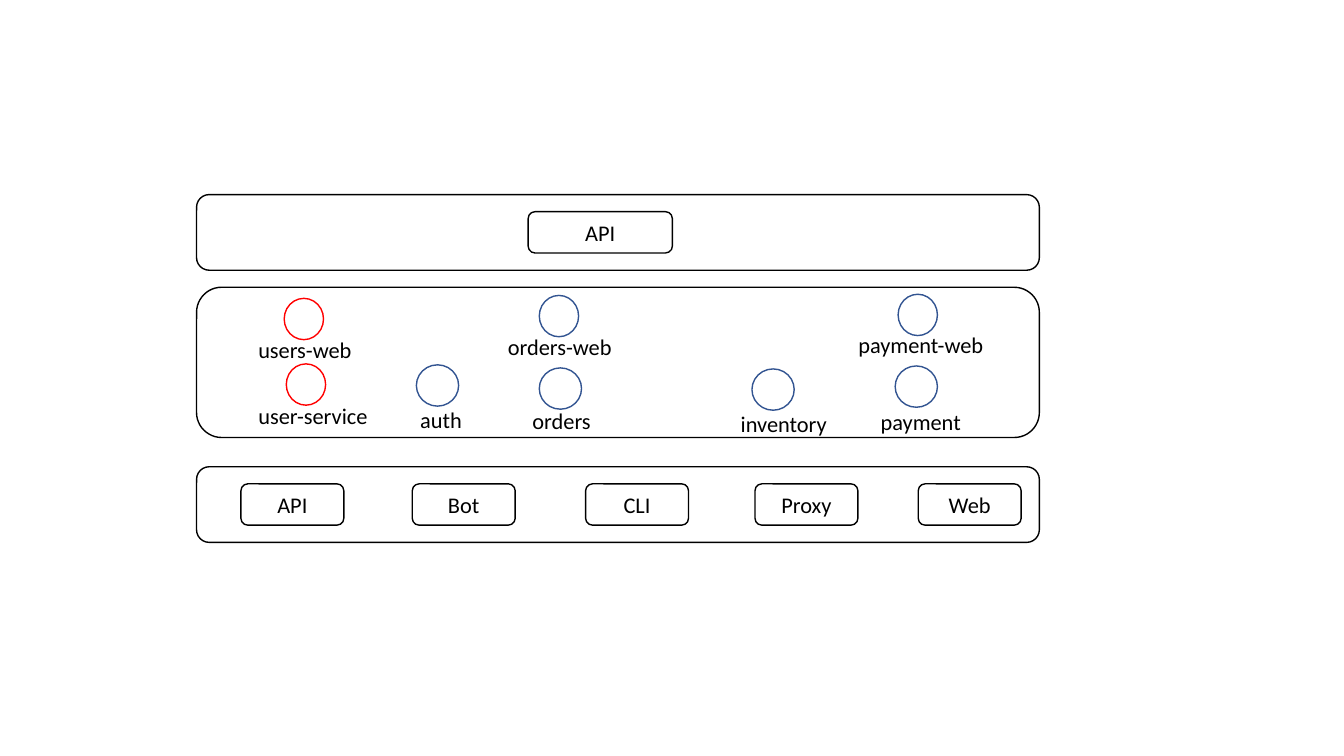
from dataclasses import dataclass

from pptx import Presentation
from pptx.dml.color import RGBColor
from pptx.enum.shapes import MSO_SHAPE
from pptx.enum.text import MSO_ANCHOR, MSO_AUTO_SIZE, PP_ALIGN
from pptx.util import Pt

ROUNDED = MSO_SHAPE.ROUNDED_RECTANGLE
OVAL = MSO_SHAPE.OVAL
CENTER = PP_ALIGN.CENTER
MIDDLE = MSO_ANCHOR.MIDDLE
FIT_SHAPE = MSO_AUTO_SIZE.SHAPE_TO_FIT_TEXT


@dataclass(frozen=True)
class Theme:
    font: str = "Calibri"
    text_size: float = 16
    line_width: float = 1
    ink: str = "000000"
    paper: str = "FFFFFF"
    blue: str = "325491"
    red: str = "FF0000"


THEME = Theme()
PANEL_LEFT, PANEL_WIDTH = 140.4, 602
API_PANEL_TOP, SERVICES_TOP, CLIENTS_TOP = 139, 205.2, 333.4
BAR_HEIGHT, SERVICES_HEIGHT = 54, 107.3
BUTTON_INSET, BUTTON_HEIGHT = 12.2, 29.5
CLIENT_WIDTH = 73.5
CIRCLE_HEIGHT, LABEL_HEIGHT = 29.5, 26.6
NARROW, WIDE = 28.1, 30.2

CLIENTS = [("API", 172.1), ("Bot", 294.5), ("CLI", 418.3), ("Proxy", 539.3), ("Web", 655.9)]

# name, line colour, circle (left, top, width), label (left, top, width)
SERVICES = [
    ("users-web", THEME.red, (203, 213.1, NARROW), (172.1, 236.9, 91.4)),
    ("user-service", THEME.red, (204.5, 259.9, NARROW), (166.3, 283.7, 114.5)),
    ("auth", THEME.blue, (297.4, 260.6, WIDE), (288, 286.6, 54)),
    ("orders-web", THEME.blue, (385.2, 211, NARROW), (354.2, 234.7, 91.4)),
    ("orders", THEME.blue, (385.2, 262.8, WIDE), (369.4, 287.3, 63.4)),
    ("inventory", THEME.blue, (537.1, 263.5, WIDE), (514.8, 289.4, 90)),
    ("payment-web", THEME.blue, (641.5, 210.2, NARROW), (591.1, 233.3, 133.2)),
    ("payment", THEME.blue, (639.4, 261.4, WIDE), (615.6, 288, 84.2)),
]


def write(frame, text, *, font, size, color, align=CENTER):
    frame.word_wrap = True
    para = frame.paragraphs[0]
    para.alignment = align
    span = para.add_run()
    span.text = text
    span.font.name = font
    span.font.size = Pt(size)
    span.font.color.rgb = RGBColor.from_string(color)


class Diagram:
    def __init__(self, slide, theme):
        self.slide = slide
        self.theme = theme

    def text(self, frame, text):
        write(frame, text, font=self.theme.font, size=self.theme.text_size,
              color=self.theme.ink)

    def outline(self, kind, left, top, width, height, color):
        shape = self.slide.shapes.add_shape(kind, Pt(left), Pt(top), Pt(width), Pt(height))
        shape.shadow.inherit = False
        shape.fill.solid()
        shape.fill.fore_color.rgb = RGBColor.from_string(self.theme.paper)
        shape.line.color.rgb = RGBColor.from_string(color)
        shape.line.width = Pt(self.theme.line_width)
        return shape

    def panel(self, top, height):
        self.outline(ROUNDED, PANEL_LEFT, top, PANEL_WIDTH, height, self.theme.ink)

    def button(self, text, left, panel_top, width):
        box = self.outline(ROUNDED, left, panel_top + BUTTON_INSET, width,
                           BUTTON_HEIGHT, self.theme.ink)
        box.text_frame.vertical_anchor = MIDDLE
        self.text(box.text_frame, text)

    def circle(self, left, top, width, color):
        self.outline(OVAL, left, top, width, CIRCLE_HEIGHT, color)

    def label(self, text, left, top, width):
        box = self.slide.shapes.add_textbox(Pt(left), Pt(top), Pt(width), Pt(LABEL_HEIGHT))
        self.text(box.text_frame, text)
        box.text_frame.auto_size = FIT_SHAPE


def main():
    deck = Presentation()
    deck.slide_width, deck.slide_height = Pt(960), Pt(540)
    blank_layout = deck.slide_layouts[6]
    diagram = Diagram(deck.slides.add_slide(blank_layout), THEME)

    diagram.panel(API_PANEL_TOP, BAR_HEIGHT)
    diagram.button("API", 377.3, API_PANEL_TOP, 103)

    diagram.panel(SERVICES_TOP, SERVICES_HEIGHT)
    for name, color, circle, label in SERVICES:
        diagram.circle(*circle, color)
        diagram.label(name, *label)

    diagram.panel(CLIENTS_TOP, BAR_HEIGHT)
    for name, left in CLIENTS:
        diagram.button(name, left, CLIENTS_TOP, CLIENT_WIDTH)

    deck.save("out.pptx")


if __name__ == "__main__":
    main()
